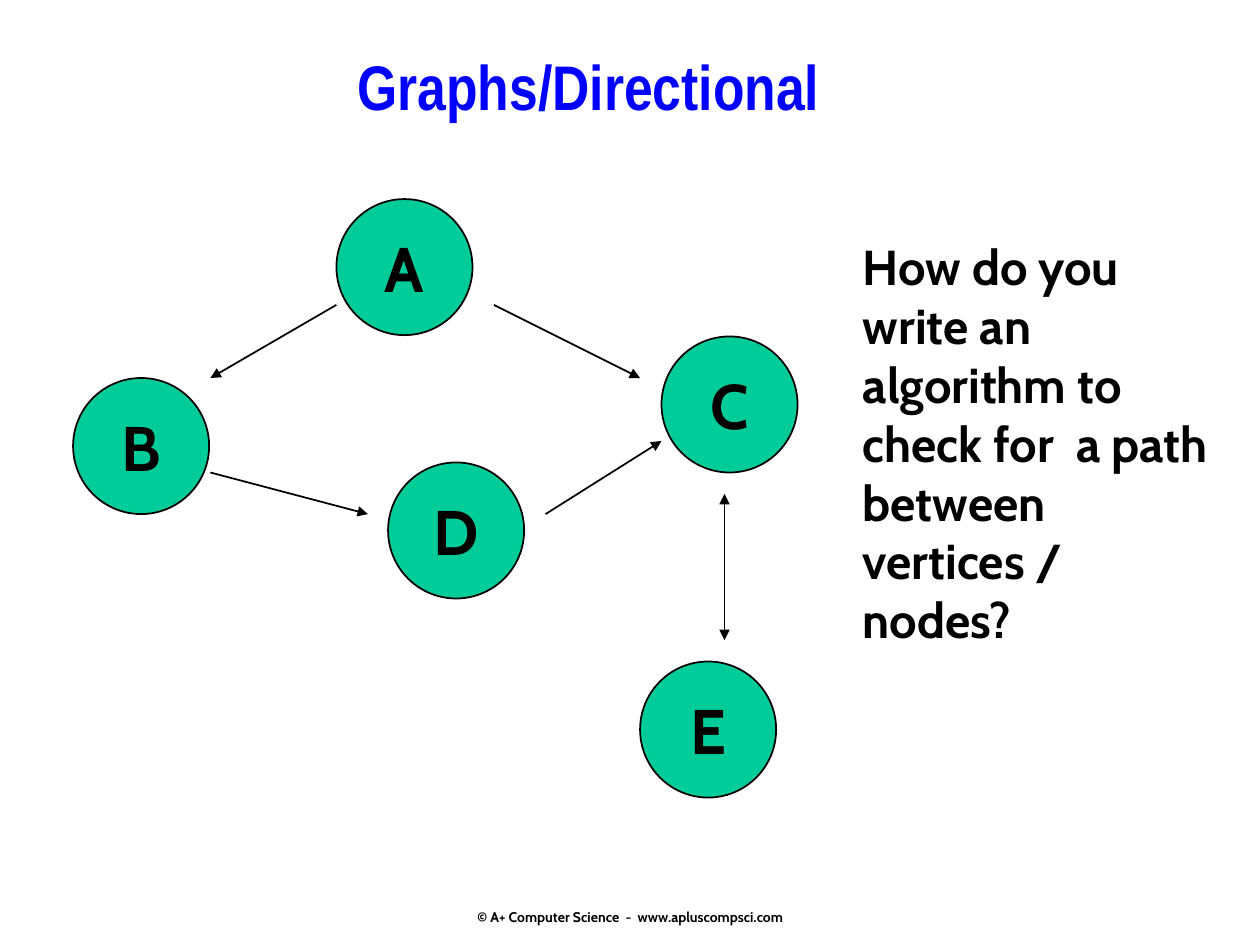
from lxml import etree
from pptx import Presentation
from pptx import util as u
from pptx.dml.color import RGBColor
from pptx.enum import shapes, text
from pptx.oxml.ns import qn

BLACK, BLUE, GREEN = "000000", "0000FF", "00CC99"
NODE_SIZE = 1.08

# Left and top of each vertex
VERTICES = {
    "A": (2.67, 1.58),
    "B": (0.58, 3),
    "D": (3.08, 3.67),
    "C": (5.25, 2.67),
    "E": (5.08, 5.25),
}

# Start, end, and whether the edge runs both ways
EDGES = [
    ((5.75, 3.92), (5.75, 5.08), True),   # C - E
    ((3.92, 2.42), (5.08, 3), False),     # A - C
    ((2.67, 2.42), (1.67, 3), False),     # A - B
    ((1.67, 3.75), (2.92, 4.08), False),  # B - D
    ((4.33, 4.08), (5.25, 3.5), False),   # D - C
]


def color(hex_value):
    return RGBColor.from_string(hex_value)


def inches(*lengths):
    return [u.Inches(length) for length in lengths]


def write(shape, words, size, font="Cabin", ink=BLACK,
          align=text.PP_ALIGN.CENTER, anchor=text.MSO_ANCHOR.MIDDLE, wrap=False):
    frame = shape.text_frame
    frame.text = words
    frame.word_wrap = wrap
    frame.auto_size = text.MSO_AUTO_SIZE.NONE
    frame.vertical_anchor = anchor
    paragraph = frame.paragraphs[0]
    paragraph.alignment = align
    style = paragraph.runs[0].font
    style.name, style.size, style.bold = font, u.Pt(size), True
    style.color.rgb = color(ink)


def add_title(slide, words):
    title = slide.shapes.title
    title.left, title.top, title.width, title.height = inches(1.67, 0.33, 6, 0.67)
    write(title, words, 36, font="Arial Narrow", ink=BLUE, anchor=text.MSO_ANCHOR.TOP)


def add_vertex(slide, label, left, top):
    vertex = slide.shapes.add_shape(
        shapes.MSO_SHAPE.OVAL, *inches(left, top, NODE_SIZE, NODE_SIZE))
    vertex.shadow.inherit = False
    vertex.fill.solid()
    vertex.fill.fore_color.rgb = color(GREEN)
    vertex.line.color.rgb = color(BLACK)
    vertex.line.width = u.Pt(1)
    write(vertex, label, 36)


def add_edge(slide, start, end, both_ways):
    edge = slide.shapes.add_connector(
        shapes.MSO_CONNECTOR.STRAIGHT, *inches(*start, *end))
    edge.line.color.rgb = color(BLACK)
    edge.line.width = u.Pt(1)
    # Arrowheads, and no theme shadow
    line = edge.line._get_or_add_ln()
    for tag in ["a:headEnd", "a:tailEnd"] if both_ways else ["a:tailEnd"]:
        etree.SubElement(line, qn(tag), type="triangle")
    etree.SubElement(edge._element.spPr, qn("a:effectLst"))


def main():
    prs = Presentation()
    prs.slide_width, prs.slide_height = inches(10, 7.5)
    slide = prs.slides.add_slide(prs.slide_layouts.get_by_name("Title Only"))

    add_title(slide, "Graphs/Directional")

    # Directed graph
    for label, (left, top) in VERTICES.items():
        add_vertex(slide, label, left, top)
    for start, end, both_ways in EDGES:
        add_edge(slide, start, end, both_ways)

    # Question beside the graph
    question = slide.shapes.add_textbox(*inches(6.75, 1.83, 3, 3.4))
    write(question,
          "How do you write an algorithm to check for  a path between vertices / nodes?",
          28, align=text.PP_ALIGN.LEFT, anchor=text.MSO_ANCHOR.TOP, wrap=True)

    # Copyright line
    copyright_line = slide.shapes.add_textbox(*inches(3.42, 7.13, 3.17, 0.3))
    write(copyright_line, "© A+ Computer Science  -  www.apluscompsci.com", 8)

    prs.save("out.pptx")


if __name__ == "__main__":
    main()
